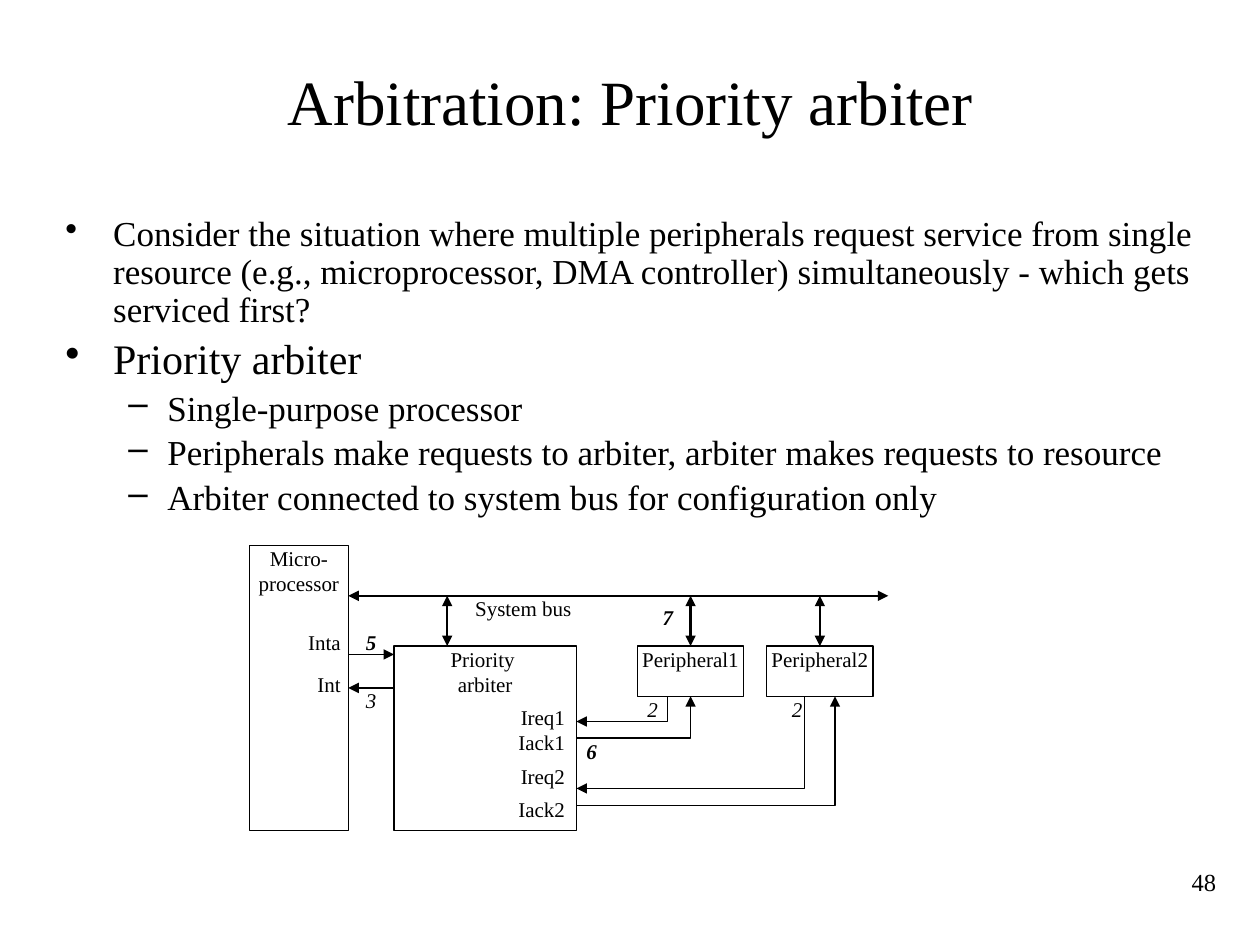
from lxml import etree
from pptx import Presentation
from pptx import util as u
from pptx.dml.color import RGBColor
from pptx.enum import shapes, text
from pptx.oxml import ns

BLACK = RGBColor(0, 0, 0)
WHITE = RGBColor(255, 255, 255)
FONT = "Times New Roman"
LEFT, CENTER, RIGHT = text.PP_ALIGN.LEFT, text.PP_ALIGN.CENTER, text.PP_ALIGN.RIGHT
THIN, THICK = 0.75, 1.25
COLUMNS, ROWS = 84, 34

BULLETS = [
    (0, 20, "Consider the situation where multiple peripherals request service from "
            "single resource (e.g., microprocessor, DMA controller) simultaneously - "
            "which gets serviced first?"),
    (0, 24, "Priority arbiter"),
    (1, 20, "Single-purpose processor"),
    (1, 20, "Peripherals make requests to arbiter, arbiter makes requests to resource"),
    (1, 20, "Arbiter connected to system bus for configuration only"),
]
BULLET_STYLES = [("•", 0.38, -0.38), ("–", 0.81, -0.31)]

BLOCKS = [
    ("Micro-processor", 0, 0, 13, 34),
    ("Priority \narbiter", 19, 12, 24, 22),
    ("Peripheral1", 51, 12, 14, 6),
    ("Peripheral2", 68, 12, 14, 6),
]
BUS_LINKS = [(13, 6, 84, 6)] + [(x, 6, x, 12) for x in (26, 58, 75)]
INTERRUPT_LINES = [(13, 13, 19, 13), (19, 17, 13, 17)]
REQUEST_PATHS = [
    [(55, 18), (55, 21), (43, 21)],
    [(43, 23), (58, 23), (58, 18)],
    [(73, 18), (73, 29), (43, 29)],
    [(43, 31), (77, 31), (77, 18)],
]
PIN_LABELS = [
    ("Inta", 7, 10, 5), ("Int", 7, 15, 5),
    ("Ireq1", 33.5, 19, 8), ("Iack1", 33.5, 22, 8),
    ("Ireq2", 33.5, 26, 8), ("Iack2", 33.5, 30, 8),
]
STEP_LABELS = [
    ("2", 52, 18, False), ("2", 71, 18, False), ("3", 15, 17, False),
    ("5", 15, 10, True), ("6", 44, 23, True), ("7", 54, 7, True),
]


def write(frame, content, size, align, margins=(0, 0), bold=False, italic=False):
    frame.word_wrap = True
    frame.margin_left = frame.margin_right = u.Inches(margins[0])
    frame.margin_top = frame.margin_bottom = u.Inches(margins[1])
    frame.text = content
    for paragraph in frame.paragraphs:
        paragraph.alignment = align
        for run in paragraph.runs:
            run.font.name, run.font.size = FONT, u.Pt(size)
            run.font.bold, run.font.italic = bold, italic
            run.font.color.rgb = BLACK


def style_line(shape, width, heads=()):
    shape.line.color.rgb = BLACK
    shape.line.width = u.Pt(width)
    outline = shape.line._get_or_add_ln()
    for end in heads:
        etree.SubElement(outline, ns.qn(f"a:{end}"), type="triangle")


def add_title(slide, box):
    title = slide.shapes.title
    title.left, title.top, title.width, title.height = box
    write(title.text_frame, "Arbitration: Priority arbiter", 36, CENTER, (0, 0.05))
    title.text_frame.vertical_anchor = text.MSO_ANCHOR.MIDDLE


def add_bullets(slide, box):
    frame = slide.shapes.add_textbox(*box).text_frame
    write(frame, "\n".join(words for _, _, words in BULLETS), 20, LEFT, (0.1, 0.05))
    for index, (level, size, _) in enumerate(BULLETS):
        paragraph = frame.paragraphs[index]
        mark, margin, indent = BULLET_STYLES[level]
        properties = paragraph._p.get_or_add_pPr()
        properties.set("marL", str(u.Inches(margin)))
        properties.set("indent", str(u.Inches(indent)))
        etree.SubElement(properties, ns.qn("a:buChar"), char=mark)
        paragraph.level = level
        paragraph.line_spacing = 0.9
        if index:
            paragraph.space_before = u.Pt(size * 0.2)
        for run in paragraph.runs:
            run.font.size = u.Pt(size)


def add_diagram(slide, box):
    left, top, width, height = box

    def across(column):
        return round(left + width * column / COLUMNS)

    def down(row):
        return round(top + height * row / ROWS)

    def cell(column, row, columns, rows):
        x, y = across(column), down(row)
        return x, y, across(column + columns) - x, down(row + rows) - y

    def add_line(ends, weight, heads):
        x1, y1, x2, y2 = ends
        line = slide.shapes.add_connector(
            shapes.MSO_CONNECTOR.STRAIGHT, across(x1), down(y1), across(x2), down(y2))
        style_line(line, weight, heads)
        etree.SubElement(line._element.spPr, ns.qn("a:effectLst"))

    def add_label(words, column, row, columns, align, **emphasis):
        label = slide.shapes.add_textbox(*cell(column, row, columns, 3))
        write(label.text_frame, words, 12, align, **emphasis)

    for name, *place in BLOCKS:
        block = slide.shapes.add_shape(shapes.MSO_SHAPE.RECTANGLE, *cell(*place))
        block.shadow.inherit = False
        block.fill.solid()
        block.fill.fore_color.rgb = WHITE
        style_line(block, THIN)
        write(block.text_frame, name, 12, CENTER)
        block.text_frame.vertical_anchor = text.MSO_ANCHOR.TOP

    for ends in BUS_LINKS:
        add_line(ends, THICK, ("headEnd", "tailEnd"))
    for ends in INTERRUPT_LINES:
        add_line(ends, THIN, ("tailEnd",))

    for corners in REQUEST_PATHS:
        start, *rest = [(across(x), down(y)) for x, y in corners]
        builder = slide.shapes.build_freeform(*start)
        builder.add_line_segments(rest, close=False)
        wire = builder.convert_to_shape()
        wire.shadow.inherit = False
        wire.fill.background()
        style_line(wire, THIN, ("tailEnd",))

    add_label("System bus", 25, 6, 22, CENTER)
    for name, column, row, columns in PIN_LABELS:
        add_label(name, column, row, columns, RIGHT)
    for step, column, row, bold in STEP_LABELS:
        add_label(step, column, row, 2, CENTER, bold=bold, italic=True)


def add_page_number(slide, box):
    number = slide.shapes.add_textbox(*box)
    write(number.text_frame, "48", 14, RIGHT, (0.1, 0.05))


def inches(*lengths):
    return [u.Inches(length) for length in lengths]


def main():
    deck = Presentation()
    deck.slide_width, deck.slide_height = inches(10, 7.5)
    slide = deck.slides.add_slide(deck.slide_layouts[5])
    add_page_number(slide, inches(8.75, 6.83, 1, 0.5))
    add_title(slide, inches(0.42, 0.17, 9.17, 1.25))
    add_bullets(slide, inches(0.42, 1.67, 9.17, 2.62))
    add_diagram(slide, inches(1.98, 4.33, 5.07, 2.26))
    deck.save("out.pptx")


if __name__ == "__main__":
    main()
